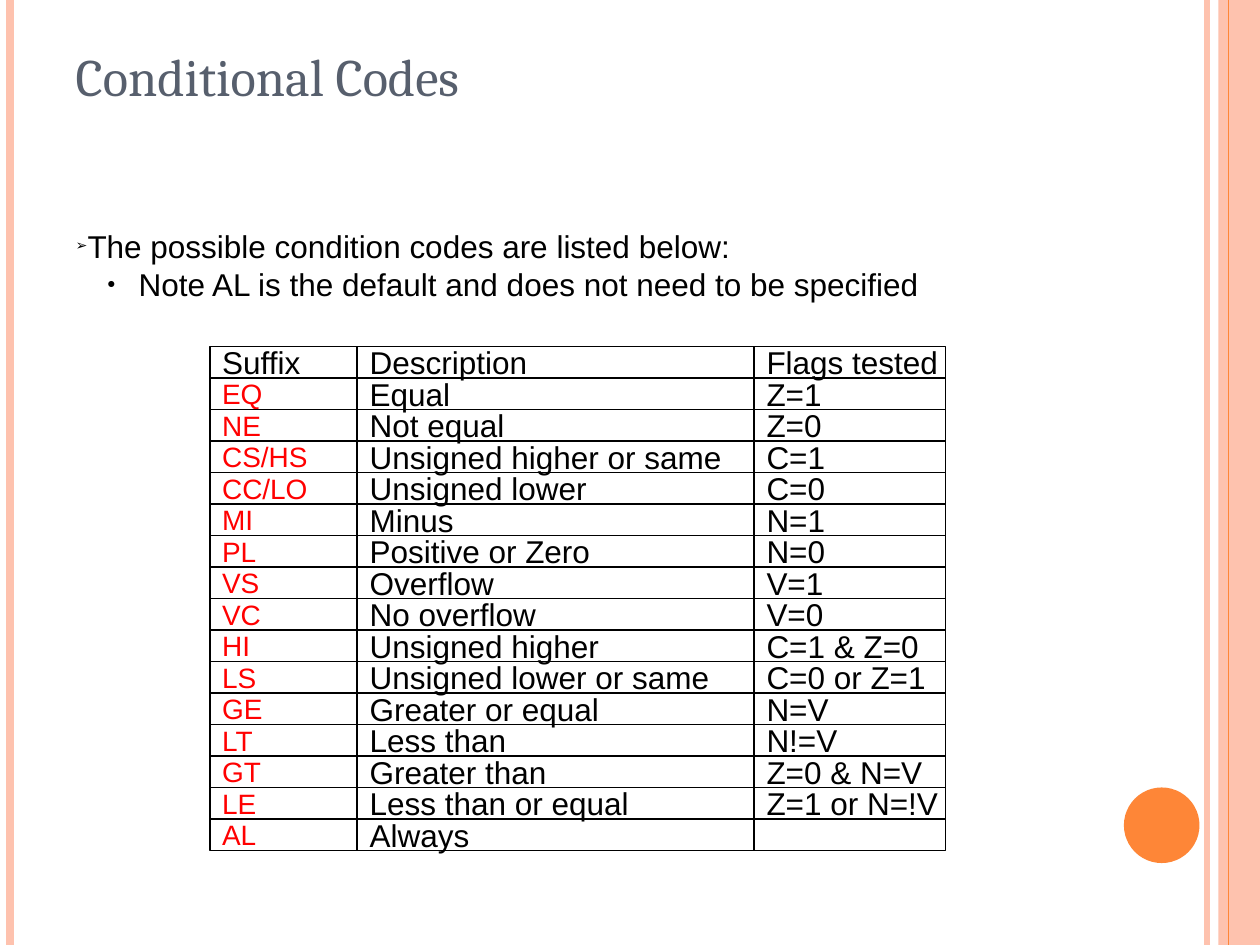
from itertools import accumulate

from lxml.etree import SubElement
from pptx import Presentation
from pptx.dml.color import RGBColor
from pptx.enum.shapes import MSO_CONNECTOR, MSO_SHAPE
from pptx.enum.text import MSO_ANCHOR, MSO_AUTO_SIZE, PP_ALIGN
from pptx.oxml.ns import qn
from pptx.util import Inches, Pt

# Content
TITLE = "Conditional Codes"
BULLETS = [  # text, level, left margin, first-line indent, bullet
    ("The possible condition codes are listed below:", 0, 0, 0, "➢"),
    ("Note AL is the default and does not need to be specified", 1, 0.5, -0.25, "●"),
]
CODES = [
    ("Suffix", "Description", "Flags tested"),
    ("EQ", "Equal", "Z=1"),
    ("NE", "Not equal", "Z=0"),
    ("CS/HS", "Unsigned higher or same", "C=1"),
    ("CC/LO", "Unsigned lower", "C=0"),
    ("MI", "Minus", "N=1"),
    ("PL", "Positive or Zero", "N=0"),
    ("VS", "Overflow", "V=1"),
    ("VC", "No overflow", "V=0"),
    ("HI", "Unsigned higher", "C=1 & Z=0"),
    ("LS", "Unsigned lower or same", "C=0 or Z=1"),
    ("GE", "Greater or equal", "N=V"),
    ("LT", "Less than", "N!=V"),
    ("GT", "Greater than", "Z=0 & N=V"),
    ("LE", "Less than or equal", "Z=1 or N=!V"),
    ("AL", "Always", ""),
]

# Layout and formats
SLIDE_WIDTH, SLIDE_HEIGHT = 10, 7.5
COLUMN_WIDTHS = (1.17, 3.15, 1.52)
GRID_LEFT, GRID_TOP, ROW_HEIGHT = 1.665, 2.75, 0.25
ORANGE, PEACH, BLACK, RED = "FE8637", "FEC2AE", "000000", "FF0000"
BACK_STRIPES = [(9.58, PEACH, 3), (0.08, PEACH, 4.5), (9.83, ORANGE, 1.5)]
FRONT_STRIPE = (9.75, ORANGE, 0.75)
BAND_BOX = (9.67, 0, 0.33, SLIDE_HEIGHT)
DISC_BOX = (8.92, 6.25, 0.6, 0.6)
TITLE_FONT = {"name": "Cambria", "size": Pt(30), "bold": False}
TEXT_FONT = {"name": "Arial", "size": Pt(18), "bold": False}
SUFFIX_FONT = {**TEXT_FONT, "size": Pt(16)}
PLACEHOLDER_FRAME = {
    "word_wrap": True, "auto_size": MSO_AUTO_SIZE.NONE,
    "vertical_anchor": MSO_ANCHOR.TOP,
}
CELL_FRAME = {"word_wrap": False, "vertical_anchor": MSO_ANCHOR.MIDDLE}


def set_color(color_format, value):
    color_format.rgb = RGBColor.from_string(value)


def apply(target, values):
    for name, value in values.items():
        setattr(target, name, value)


def write(paragraph, text, font_values, color):
    run = paragraph.add_run()
    run.text = text
    apply(run.font, font_values)
    set_color(run.font.color, color)


def prepare_placeholder(shape, box):
    apply(shape, dict(zip(("left", "top", "width", "height"), map(Inches, box))))
    apply(shape.text_frame, PLACEHOLDER_FRAME)
    return shape.text_frame


def add_bullet(paragraph, margin, indent, character):
    properties = paragraph._p.get_or_add_pPr()
    properties.set("marL", str(Inches(margin)))
    properties.set("indent", str(Inches(indent)))
    SubElement(properties, qn("a:buSzPct"), val="45000")
    SubElement(properties, qn("a:buChar"), char=character)


def add_plain_shape(slide, kind, box):
    shape = slide.shapes.add_shape(kind, *map(Inches, box))
    shape.shadow.inherit = False
    return shape


def add_ornament(slide, kind, box, color):
    shape = add_plain_shape(slide, kind, box)
    shape.fill.solid()
    set_color(shape.fill.fore_color, color)
    shape.line.fill.background()


def add_stripe(slide, x, color, width):
    stripe = slide.shapes.add_connector(
        MSO_CONNECTOR.STRAIGHT, Inches(x), 0, Inches(x), Inches(SLIDE_HEIGHT))
    set_color(stripe.line.color, color)
    stripe.line.width = Pt(width)
    SubElement(stripe._element.spPr, qn("a:effectLst"))


def add_cell(slide, box, text, font_values, color):
    cell = add_plain_shape(slide, MSO_SHAPE.RECTANGLE, box)
    cell.fill.background()
    set_color(cell.line.color, BLACK)
    cell.line.width = Pt(1)
    apply(cell.text_frame, CELL_FRAME)
    paragraph = cell.text_frame.paragraphs[0]
    paragraph.alignment = PP_ALIGN.LEFT
    if text:
        write(paragraph, text, font_values, color)


def add_codes_grid(slide):
    lefts = list(accumulate(COLUMN_WIDTHS[:-1], initial=GRID_LEFT))
    for row, texts in enumerate(CODES):
        top = GRID_TOP + row * ROW_HEIGHT
        for column, text in enumerate(texts):
            is_suffix = row > 0 and column == 0
            add_cell(slide, (lefts[column], top, COLUMN_WIDTHS[column], ROW_HEIGHT), text,
                     SUFFIX_FONT if is_suffix else TEXT_FONT,
                     RED if is_suffix else BLACK)


def main():
    presentation = Presentation()
    presentation.slide_width = Inches(SLIDE_WIDTH)
    presentation.slide_height = Inches(SLIDE_HEIGHT)
    slide = presentation.slides.add_slide(presentation.slide_layouts[1])

    # Side ornaments, from back to front
    for stripe in BACK_STRIPES:
        add_stripe(slide, *stripe)
    add_ornament(slide, MSO_SHAPE.RECTANGLE, BAND_BOX, PEACH)
    add_stripe(slide, *FRONT_STRIPE)
    add_ornament(slide, MSO_SHAPE.OVAL, DISC_BOX, ORANGE)

    # Title
    title_frame = prepare_placeholder(slide.shapes.title, (0.5, 0.3, 8.17, 1.25))
    title_frame.paragraphs[0].alignment = PP_ALIGN.LEFT
    write(title_frame.paragraphs[0], TITLE, TITLE_FONT, "575F6D")

    # Bulleted list
    body_frame = prepare_placeholder(slide.placeholders[1], (0.5, 1.75, 8.17, 5.33))
    for index, (text, level, margin, indent, character) in enumerate(BULLETS):
        paragraph = body_frame.add_paragraph() if index else body_frame.paragraphs[0]
        apply(paragraph, {"level": level, "space_before": Pt(0)})
        add_bullet(paragraph, margin, indent, character)
        write(paragraph, text, TEXT_FONT, BLACK)

    # Grid of condition codes
    add_codes_grid(slide)
    presentation.save("out.pptx")


if __name__ == "__main__":
    main()
